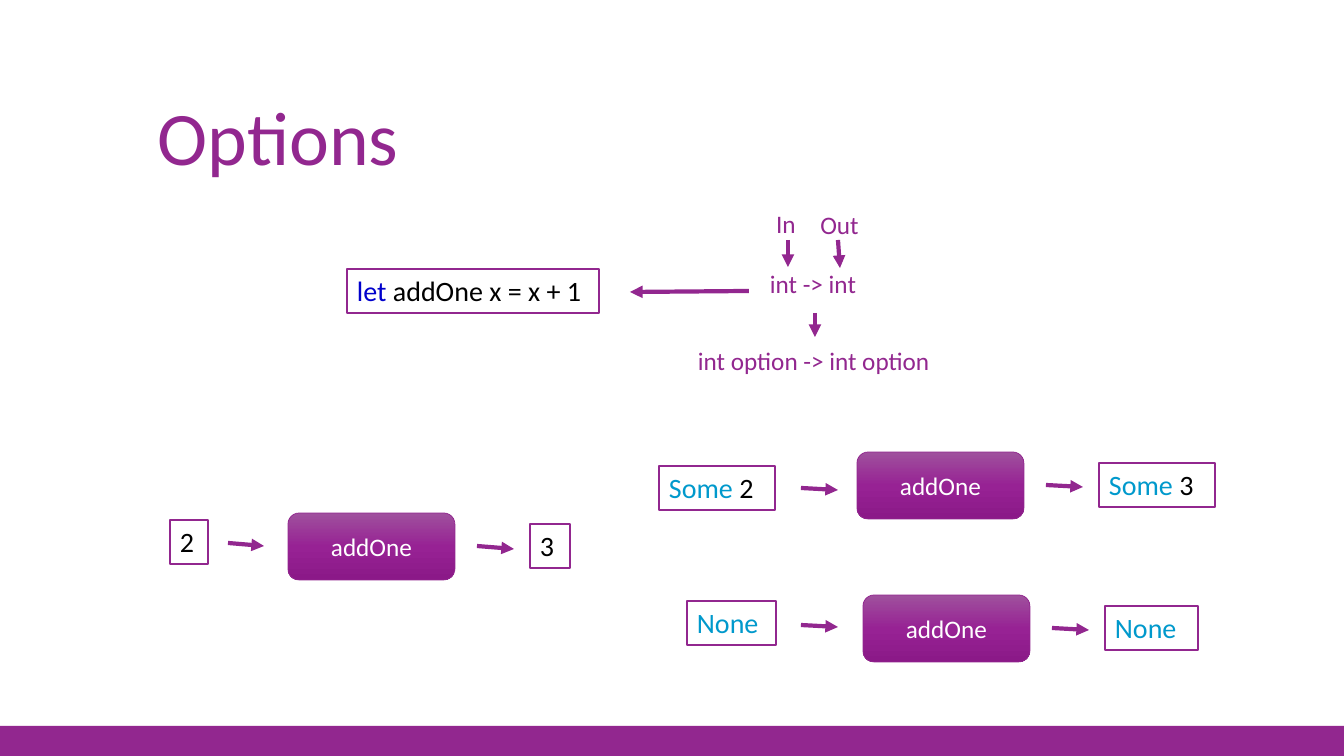
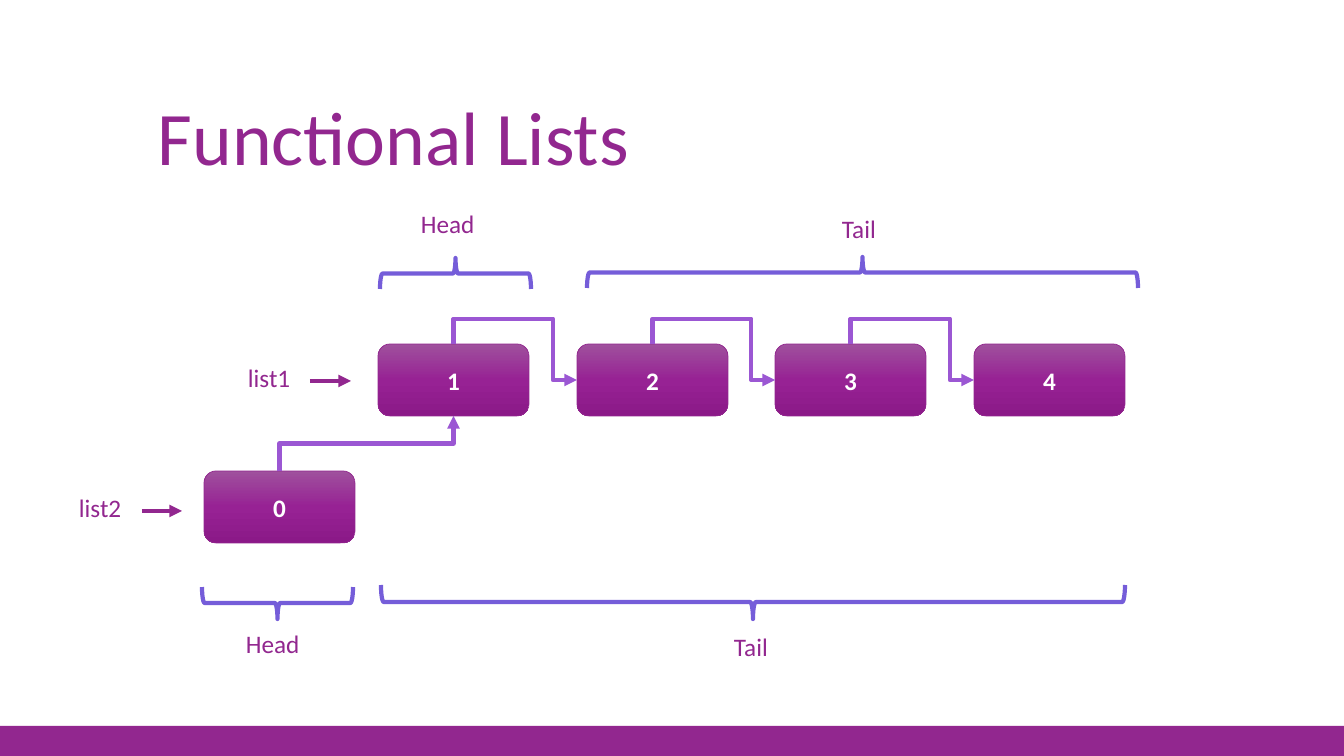
from copy import deepcopy

from lxml import etree
from pptx import Presentation
from pptx.dml.color import RGBColor
from pptx.enum.shapes import MSO_CONNECTOR, MSO_SHAPE
from pptx.enum.text import MSO_ANCHOR, MSO_AUTO_SIZE, PP_ALIGN
from pptx.oxml.ns import qn
from pptx.util import Pt

PX = 914400 / 100.8
SLIDE_WIDTH, SLIDE_HEIGHT = 1344, 756
FONT = "Calibri"

PURPLE = RGBColor(0x92, 0x27, 0x8F)
VIOLET = RGBColor(0x9B, 0x57, 0xD3)
BRACE_BLUE = RGBColor(0x75, 0x5D, 0xD9)
KEYWORD_BLUE = RGBColor(0x00, 0x00, 0xCC)
OPTION_BLUE = RGBColor(0x00, 0x99, 0xCC)
BLACK = RGBColor(0x00, 0x00, 0x00)
WHITE = RGBColor(0xFF, 0xFF, 0xFF)
GRADIENT = [
    (0, RGBColor(0x9F, 0x51, 0x9D)),
    (0.5, RGBColor(0x97, 0x22, 0x94)),
    (1, RGBColor(0x8B, 0x19, 0x88)),
]

RECTANGLE = MSO_SHAPE.RECTANGLE
ROUNDED = MSO_SHAPE.ROUNDED_RECTANGLE
BRACE = MSO_SHAPE.LEFT_BRACE
STRAIGHT, ELBOW = MSO_CONNECTOR.STRAIGHT, MSO_CONNECTOR.ELBOW
TOP, MIDDLE, BOTTOM = MSO_ANCHOR.TOP, MSO_ANCHOR.MIDDLE, MSO_ANCHOR.BOTTOM
LEFT, CENTER = PP_ALIGN.LEFT, PP_ALIGN.CENTER
GROW = MSO_AUTO_SIZE.SHAPE_TO_FIT_TEXT
FIXED = MSO_AUTO_SIZE.NONE
TOP_SITE, LEFT_SITE, BOTTOM_SITE = 0, 1, 2

BAND = {"shape": RECTANGLE, "fill": PURPLE}
TITLE = {
    "frame": {"word_wrap": True, "vertical_anchor": BOTTOM, "auto_size": FIXED},
    "paragraph": {"alignment": LEFT, "line_spacing": 0.9},
    "font": {"name": FONT, "size": Pt(54)},
}
LABEL = {
    "frame": {"word_wrap": False, "vertical_anchor": TOP, "auto_size": GROW},
    "paragraph": {"alignment": LEFT},
    "font": {"name": FONT, "size": Pt(18)},
}
CENTERED_LABEL = {**LABEL, "paragraph": {"alignment": CENTER}}
VALUE = {
    "shape": RECTANGLE,
    "fill": WHITE,
    "line": (PURPLE, 2),
    "frame": {"word_wrap": True, "vertical_anchor": TOP, "auto_size": GROW},
    "paragraph": {"alignment": LEFT},
    "font": {"name": FONT, "size": Pt(20)},
}
FUNCTION = {
    "shape": ROUNDED,
    "fill": GRADIENT,
    "line": (PURPLE, 0.5),
    "frame": {"word_wrap": True, "vertical_anchor": MIDDLE, "auto_size": FIXED},
    "paragraph": {"alignment": CENTER},
    "font": {"name": FONT, "size": Pt(18)},
}
NODE = {**FUNCTION, "font": {"name": FONT, "size": Pt(18), "bold": True}}
BRACKET = {"shape": BRACE, "line": (BRACE_BLUE, 3)}


def add_box(slide, look, bounds, runs=()):
    bounds = [round(length * PX) for length in bounds]
    if "shape" in look:
        shape = slide.shapes.add_shape(look["shape"], *bounds)
        shape.shadow.inherit = False
        fill = look.get("fill")
        if fill is GRADIENT:
            shape.fill.gradient()
            shape.fill.gradient_angle = 270
            stops = shape._element.spPr.find(".//" + qn("a:gsLst"))
            stops.append(deepcopy(stops[0]))
            for stop, (position, color) in zip(shape.fill.gradient_stops, GRADIENT):
                stop.position = position
                stop.color.rgb = color
        elif fill is not None:
            shape.fill.solid()
            shape.fill.fore_color.rgb = fill
        else:
            shape.fill.background()
        if "line" in look:
            color, width = look["line"]
            shape.line.color.rgb = color
            shape.line.width = Pt(width)
        else:
            shape.line.fill.background()
    else:
        shape = slide.shapes.add_textbox(*bounds)
    if runs:
        frame = shape.text_frame
        paragraph = frame.paragraphs[0]
        for target, key in ((frame, "frame"), (paragraph, "paragraph")):
            for name, value in look[key].items():
                setattr(target, name, value)
        for text, color in runs:
            run = paragraph.add_run()
            run.text = text
            run.font.color.rgb = color
            for name, value in look["font"].items():
                setattr(run.font, name, value)
    return shape


def style_arrow(connector, color):
    connector.line.color.rgb = color
    connector.line.width = Pt(3)
    properties = connector._element.spPr
    etree.SubElement(properties.find(qn("a:ln")), qn("a:tailEnd"), type="triangle")
    etree.SubElement(properties, qn("a:effectLst"))


presentation = Presentation()
presentation.slide_width = round(SLIDE_WIDTH * PX)
presentation.slide_height = round(SLIDE_HEIGHT * PX)
blank_layout = presentation.slide_layouts[6]

slide_arrows = {
    "Options": [
        (749, 291, 630, 292),
        (788, 240, 788, 267),
        (838, 240, 840, 268),
        (815, 313, 815, 337),
        (801, 488, 838, 490),
        (1046, 485, 1083, 487),
        (801, 625, 838, 627),
        (1052, 628, 1089, 630),
        (228, 543, 264, 546),
        (477, 546, 514, 549),
    ],
    "Functional Lists": [(310, 381, 351, 381), (142, 511, 182, 511)],
}
slides = []
for title, arrows in slide_arrows.items():
    slide = presentation.slides.add_slide(blank_layout)
    add_box(slide, BAND, (0, 726, SLIDE_WIDTH, 30))
    add_box(slide, TITLE, (148, 51, 1048, 136), [(title, PURPLE)])
    for arrow in arrows:
        points = [round(length * PX) for length in arrow]
        style_arrow(slide.shapes.add_connector(STRAIGHT, *points), PURPLE)
    slides.append(slide)
options_slide, lists_slide = slides

for look, text, left, top, width in [
    (LABEL, "int -> int", 760, 263, 108),
    (LABEL, "int option -> int option", 688, 340, 261),
    (CENTERED_LABEL, "In", 766, 203, 40),
    (CENTERED_LABEL, "Out", 810, 204, 59),
]:
    add_box(options_slide, look, (left, top, width, 40), [(text, PURPLE)])

for left, top, width, runs in [
    (347, 269, 252, [("let ", KEYWORD_BLUE), ("addOne x = x + 1", BLACK)]),
    (659, 466, 116, [("Some", OPTION_BLUE), (" 2", BLACK)]),
    (1099, 463, 116, [("Some ", OPTION_BLUE), ("3", BLACK)]),
    (687, 601, 89, [("None", OPTION_BLUE)]),
    (1105, 606, 93, [("None", OPTION_BLUE)]),
    (170, 520, 38, [("2", BLACK)]),
    (530, 524, 40, [("3", BLACK)]),
]:
    add_box(options_slide, VALUE, (left, top, width, 44), runs)

for left, top in [(857, 452), (863, 595), (288, 513)]:
    add_box(options_slide, FUNCTION, (left, top, 167, 67), [("addOne", WHITE)])

node_places = [(204, 471)] + [(round(378 + 198.6 * index), 344) for index in range(4)]
nodes = [
    add_box(lists_slide, NODE, (left, top, 151, 72), [(str(number), WHITE)])
    for number, (left, top) in enumerate(node_places)
]

for text, left, top, width in [
    ("list1", 238, 357, 64),
    ("list2", 69, 487, 64),
    ("Head", 411, 203, 75),
    ("Tail", 832, 208, 54),
    ("Head", 236, 623, 75),
    ("Tail", 724, 626, 54),
]:
    add_box(lists_slide, LABEL, (left, top, width, 40), [(text, PURPLE)])

for left, top, length, depth, rotation in [
    (380, 258, 151, 31, 90),
    (587, 257, 551, 31, 90),
    (202, 587, 151, 32, 270),
    (381, 585, 744, 34, 270),
]:
    shift = (length - depth) / 2
    brace = add_box(lists_slide, BRACKET, (left + shift, top - shift, depth, length))
    brace.rotation = rotation

over_link = (LEFT_SITE, "bentConnector4", 270, "0", [-70500, 80600])
under_link = (BOTTOM_SITE, "bentConnector3", 90, "1", [50000])
for number, link in enumerate([under_link] + [over_link] * 3):
    end_site, preset, rotation, flip, adjustments = link
    connector = lists_slide.shapes.add_connector(ELBOW, 0, 0, 0, 0)
    connector.begin_connect(nodes[number], TOP_SITE)
    connector.end_connect(nodes[number + 1], end_site)
    width, height = connector.width, connector.height
    shift = (width - height) // 2
    turned = {
        "left": connector.left + shift,
        "top": connector.top - shift,
        "width": height,
        "height": width,
    }
    for name, value in turned.items():
        setattr(connector, name, value)
    transform = connector._element.spPr.find(qn("a:xfrm"))
    for name, value in (("rot", str(rotation * 60000)), ("flipH", "1"), ("flipV", flip)):
        transform.set(name, value)
    geometry = connector._element.spPr.find(qn("a:prstGeom"))
    geometry.set("prst", preset)
    guides = geometry.find(qn("a:avLst"))
    for index, adjustment in enumerate(adjustments, 1):
        etree.SubElement(guides, qn("a:gd"), name=f"adj{index}", fmla=f"val {adjustment}")
    style_arrow(connector, VIOLET)

presentation.save("out.pptx")
